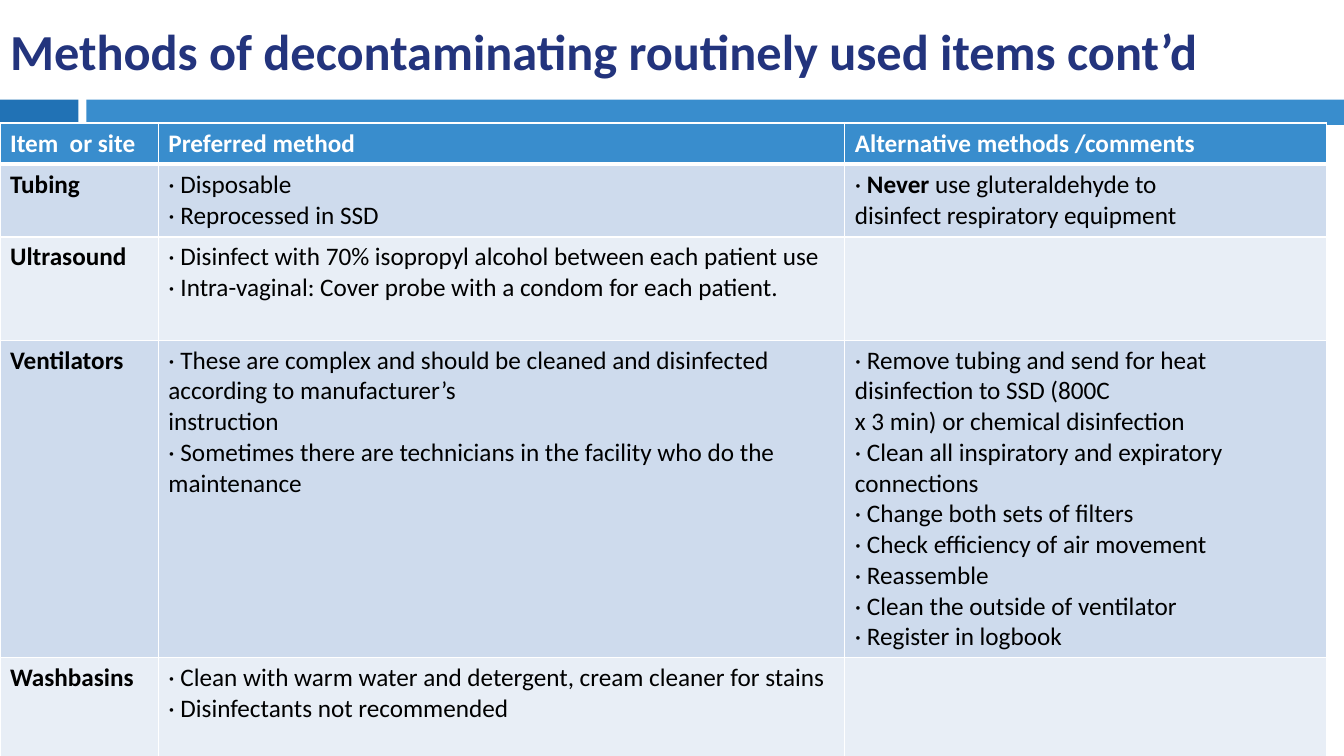
"""Build a slide with a table of decontamination methods for routinely used items."""
from dataclasses import dataclass

from lxml.etree import SubElement
from pptx import Presentation
from pptx.dml.color import RGBColor as Rgb
from pptx.enum.shapes import MSO_SHAPE as Shape
from pptx.enum.text import MSO_ANCHOR as Anchor, PP_ALIGN as Align
from pptx.oxml.ns import qn
from pptx.util import Cm, Pt

TITLE = "Methods of decontaminating routinely used items cont’d"
HEADINGS = ("Item  or site", "Preferred method", "Alternative methods /comments")
ITEMS = [
    ("Tubing",
     ["· Disposable", "· Reprocessed in SSD"],
     [("· ", "Never ", "use gluteraldehyde to"), "disinfect respiratory equipment"]),
    ("Ultrasound",
     ["· Disinfect with 70% isopropyl alcohol between each patient use",
      "· Intra-vaginal: Cover probe with a condom for each patient."],
     []),
    ("Ventilators",
     ["· These are complex and should be cleaned and disinfected according to manufacturer’s",
      "instruction",
      "· Sometimes there are technicians in the facility who do the maintenance"],
     ["· Remove tubing and send for heat disinfection to SSD (800C",
      "x 3 min) or chemical disinfection",
      "· Clean all inspiratory and expiratory connections",
      "· Change both sets of filters",
      "· Check efficiency of air movement",
      "· Reassemble",
      "· Clean the outside of ventilator",
      "· Register in logbook"]),
    ("Washbasins",
     ["· Clean with warm water and detergent, cream cleaner for stains",
      "· Disinfectants not recommended"],
     []),
]
SLIDE_WIDTH, SLIDE_HEIGHT = 33.87, 19.05
TITLE_TOP, TITLE_HEIGHT = 0.25, 2.06
BAND_TOP, BAND_HEIGHT = 2.51, 0.64
BAND_SPANS = ((0, 1.98), (2.18, SLIDE_WIDTH))
TABLE_TOP = 3.1
COLUMN_WIDTHS = (3.99, 17.3, 12.14)
ROW_HEIGHTS = (1.04, 1.83, 2.6, 8.0, 2.6)


@dataclass(frozen=True)
class Theme:
    font: str = "Calibri"
    title_size: int = 36
    table_size: int = 18
    title: str = "23347D"
    text: str = "000000"
    white: str = "FFFFFF"
    blue: str = "398DCD"
    band_fills: tuple = ("2172B5", "398DCD")
    row_fills: tuple = ("CEDBED", "E8EEF6")
    rule: int = 1
    heading_rule: int = 3


THEME = Theme()


def add_run(paragraph, text, size, color, bold):
    run = paragraph.add_run()
    run.text = text
    run.font.name = THEME.font
    run.font.size = Pt(size)
    run.font.bold = bold
    run.font.color.rgb = Rgb.from_string(color)


def paint(fill, color):
    fill.solid()
    fill.fore_color.rgb = Rgb.from_string(color)


def add_borders(cell, top, bottom):
    properties = cell._tc.get_or_add_tcPr()
    for side, width in (("L", THEME.rule), ("R", THEME.rule), ("T", top), ("B", bottom)):
        border = SubElement(properties, qn(f"a:ln{side}"), w=str(Pt(width)))
        SubElement(SubElement(border, qn("a:solidFill")), qn("a:srgbClr"), val=THEME.white)


def write_lines(frame, lines, color, bold):
    for index, line in enumerate(lines):
        paragraph = frame.add_paragraph() if index else frame.paragraphs[0]
        pieces = (line,) if isinstance(line, str) else line
        for position, piece in enumerate(pieces):
            add_run(paragraph, piece, THEME.table_size, color, bold or position == 1)


def add_bands(slide):
    for (left, right), color in zip(BAND_SPANS, THEME.band_fills):
        band = slide.shapes.add_shape(Shape.RECTANGLE, Cm(left), Cm(BAND_TOP),
                                      Cm(right - left), Cm(BAND_HEIGHT))
        band.shadow.inherit = False
        paint(band.fill, color)
        band.line.fill.background()


def add_title(slide):
    title = slide.shapes.title
    title.left, title.top = Cm(0), Cm(TITLE_TOP)
    title.width, title.height = Cm(SLIDE_WIDTH), Cm(TITLE_HEIGHT)
    title.text_frame.vertical_anchor = Anchor.MIDDLE
    heading = title.text_frame.paragraphs[0]
    heading.alignment = Align.LEFT
    add_run(heading, TITLE, THEME.title_size, THEME.title, True)


def add_methods(slide):
    rows = [tuple([heading] for heading in HEADINGS)]
    rows += [([item], preferred, alternative) for item, preferred, alternative in ITEMS]
    methods = slide.shapes.add_table(len(rows), len(HEADINGS), Cm(0), Cm(TABLE_TOP),
                                     Cm(sum(COLUMN_WIDTHS)), Cm(sum(ROW_HEIGHTS))).table
    for column, width in zip(methods.columns, COLUMN_WIDTHS):
        column.width = Cm(width)
    for row, height in zip(methods.rows, ROW_HEIGHTS):
        row.height = Cm(height)
    for r, row in enumerate(rows):
        is_heading = r == 0
        fill = THEME.blue if is_heading else THEME.row_fills[(r - 1) % 2]
        color = THEME.white if is_heading else THEME.text
        for c, lines in enumerate(row):
            cell = methods.cell(r, c)
            add_borders(cell, THEME.heading_rule if r == 1 else THEME.rule,
                        THEME.heading_rule if is_heading else THEME.rule)
            paint(cell.fill, fill)
            write_lines(cell.text_frame, lines, color, is_heading or c == 0)


def main():
    deck = Presentation()
    deck.slide_width, deck.slide_height = Cm(SLIDE_WIDTH), Cm(SLIDE_HEIGHT)
    slide = deck.slides.add_slide(deck.slide_layouts[5])
    add_bands(slide)
    add_methods(slide)
    add_title(slide)
    deck.save("out.pptx")


if __name__ == "__main__":
    main()
